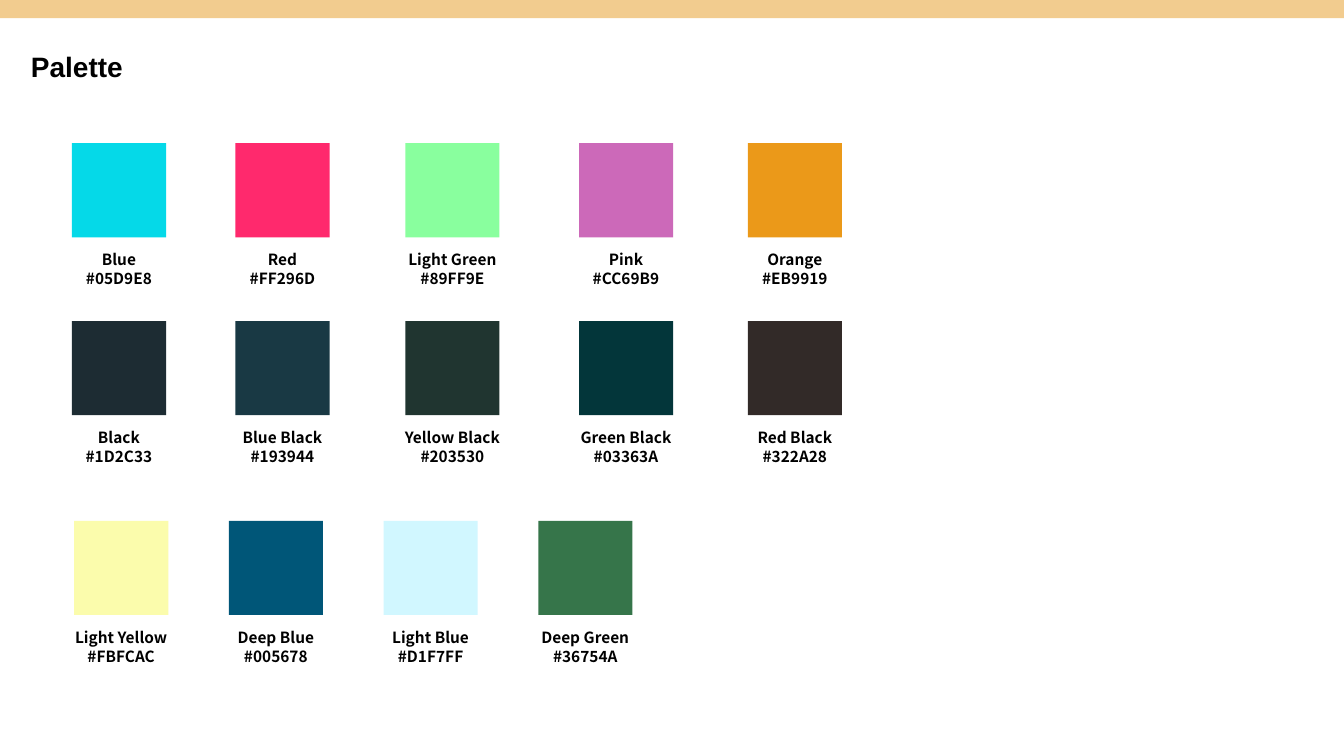
from pptx import Presentation
from pptx.dml.color import RGBColor as RGB
from pptx.enum.shapes import MSO_SHAPE as SHAPE
from pptx.enum.text import MSO_ANCHOR as ANCHOR, PP_ALIGN as ALIGN
from pptx.util import Pt

COLORS = {"bar": "F2CC8F", "text": "000000"}
SWATCH = 67.2
LABEL_W, LABEL_H, LABEL_DROP = 131.8, 33.8, 73
WIDE_COLUMNS = [51.4, 168.2, 289.6, 413.6, 534.2]
EVEN_COLUMNS = [53 + 110.5 * i for i in range(4)]

ROWS = [
    (102.3, WIDE_COLUMNS, [
        ("Blue", "05D9E8"), ("Red", "FF296D"), ("Light Green", "89FF9E"),
        ("Pink", "CC69B9"), ("Orange", "EB9919")]),
    (229.4, WIDE_COLUMNS, [
        ("Black", "1D2C33"), ("Blue Black", "193944"), ("Yellow Black", "203530"),
        ("Green Black", "03363A"), ("Red Black", "322A28")]),
    (372, EVEN_COLUMNS, [
        ("Light Yellow", "FBFCAC"), ("Deep Blue", "005678"),
        ("Light Blue", "D1F7FF"), ("Deep Green", "36754A")]),
]


class PaletteSlide:
    title_font = "Arial"
    label_font = "Noto Sans CJK JP"

    def __init__(self, prs):
        self.slide = prs.slides.add_slide(prs.slide_layouts[6])

    def rect(self, x, y, w, h, color):
        sp = self.slide.shapes.add_shape(SHAPE.RECTANGLE, Pt(x), Pt(y), Pt(w), Pt(h))
        sp.shadow.inherit = False
        sp.fill.solid()
        sp.fill.fore_color.rgb = RGB.from_string(color)
        sp.line.fill.background()

    def text(self, x, y, w, h, lines, font, size, spacing,
             align=ALIGN.LEFT, anchor=ANCHOR.TOP):
        tf = self.slide.shapes.add_textbox(Pt(x), Pt(y), Pt(w), Pt(h)).text_frame
        tf.word_wrap = True
        tf.vertical_anchor = anchor
        for i, line in enumerate(lines):
            p = tf.add_paragraph() if i else tf.paragraphs[0]
            p.alignment = align
            p.line_spacing = spacing
            r = p.add_run()
            r.text = line
            r.font.name = font
            r.font.size = Pt(size)
            r.font.bold = True
            r.font.color.rgb = RGB.from_string(COLORS["text"])

    def title(self, text):
        self.text(15, 22.3, 195, 53.3, [text], self.title_font, 20, 0.9,
                  anchor=ANCHOR.MIDDLE)

    def swatch(self, x, y, name, color):
        self.rect(x, y, SWATCH, SWATCH, color)
        self.text(x + (SWATCH - LABEL_W) / 2, y + LABEL_DROP, LABEL_W, LABEL_H,
                  [name, f"#{color}"], self.label_font, 11, Pt(13.3), ALIGN.CENTER)


def main():
    prs = Presentation()
    prs.slide_width, prs.slide_height = Pt(960), Pt(540)
    s = PaletteSlide(prs)
    s.title("Palette")
    s.rect(0, 0, 960, 13, COLORS["bar"])
    for top, columns, swatches in ROWS:
        for left, (name, color) in zip(columns, swatches):
            s.swatch(left, top, name, color)
    prs.save("out.pptx")


if __name__ == "__main__":
    main()
